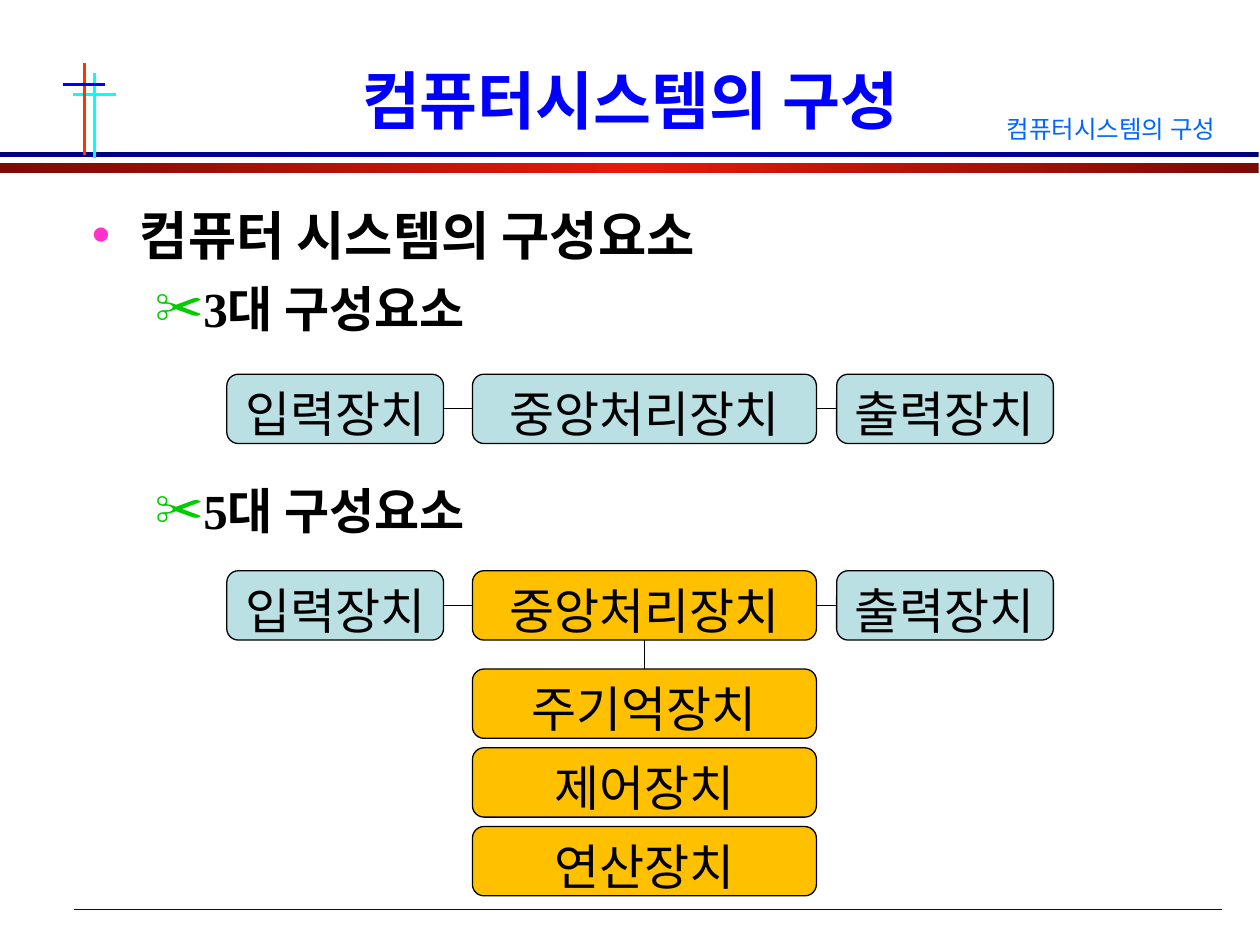
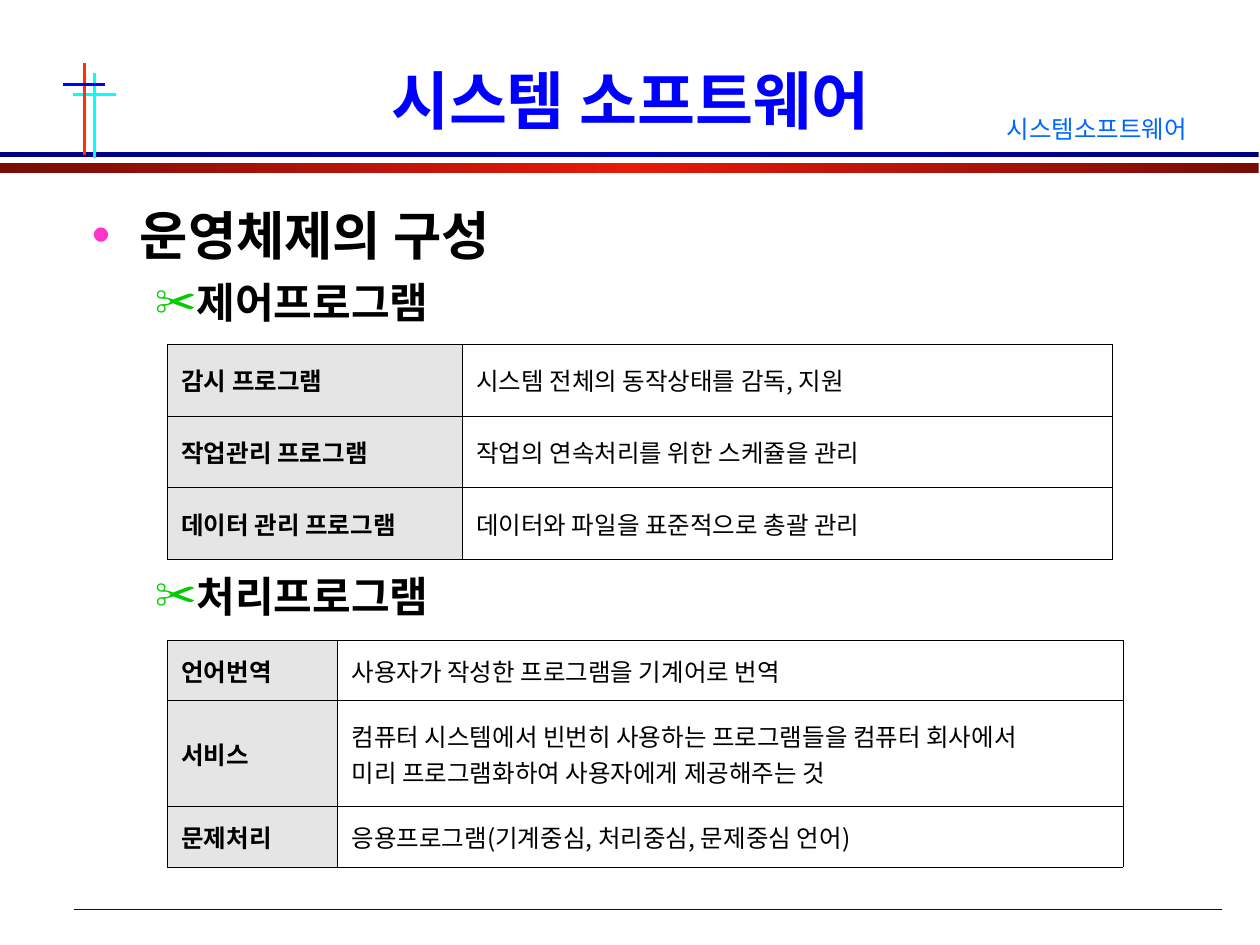
from copy import deepcopy

from lxml.etree import SubElement
from pptx import Presentation
from pptx.dml.color import RGBColor as Rgb
from pptx.enum.shapes import MSO_CONNECTOR as Conn, MSO_SHAPE as Shape
from pptx.enum.text import MSO_ANCHOR as Anchor, MSO_AUTO_SIZE as Fit, PP_ALIGN as Align
from pptx.oxml.ns import qn
from pptx.util import Inches, Pt

HUES = {
    "black": "000000", "title": "0000FF", "tag": "0066FF",
    "dot": "FF33CC", "scissors": "00CC00", "rule": "000080",
    "cyan": "00FFFF", "red": "FF3300", "box": "BBE0E3",
    "core": "FFC000", "label": "E5E5E5",
}
ROMAN, SANS = "Times New Roman", "Noto Sans CJK KR"

FORMS = {
    "title": {"size": Pt(36), "name": ROMAN, "bold": True},
    "tag": {"size": Pt(14), "name": SANS, "bold": False},
    "head": {"size": Pt(30), "name": ROMAN, "bold": True},
    "large": {"size": Pt(28), "name": ROMAN, "bold": True},
    "small": {"size": Pt(24), "name": SANS, "bold": True},
    "box": {"size": Pt(28), "name": SANS, "bold": False},
    "label": {"size": Pt(14), "name": SANS, "bold": True},
    "cell": {"size": Pt(14), "name": SANS, "bold": False},
}

# Left, top, width, height, edge colour, middle colour
BANDS = [
    (0, 1.21, 9.99, 0.04, "00007F", "0000B6"),
    (0, 1.29, 9.99, 0.08, "770D05", "E71909"),
]
# Start, end, colour, width
RULES = [
    (0.59, 7.22, 9.7, 7.22, "rule", 0.75),
    (0.58, 0.75, 0.92, 0.75, "cyan", 2),
    (0.75, 0.58, 0.75, 1.25, "cyan", 1.75),
    (0.67, 0.5, 0.67, 1.23, "red", 1.75),
    (0.5, 0.67, 0.83, 0.67, "title", 2),
]
# Title, tag, body size, list of (text, form, level, space before)
PAGES = [
    ("컴퓨터시스템의 구성", "컴퓨터시스템의 구성", (8.75, 5.23), [
        ("컴퓨터 시스템의 구성요소", "head", 0, 7.5),
        ("3대 구성요소", "large", 1, 7),
        ("5대 구성요소", "large", 1, 82),
    ]),
    ("시스템 소프트웨어", "시스템소프트웨어", (9.06, 5.47), [
        ("운영체제의 구성", "head", 0, 7.5),
        ("제어프로그램", "small", 1, 6),
        ("처리프로그램", "small", 1, 139),
    ]),
]
# Bullet, colour, left margin, hanging indent by level
MARKS = [("•", "dot", 0.38, 0.38), ("✂", "scissors", 0.81, 0.31)]


def write(par, text, form, hue="black"):
    run = par.add_run()
    run.text = text
    for key, val in FORMS[form].items():
        setattr(run.font, key, val)
    run.font.color.rgb = Rgb.from_string(HUES[hue])
    SubElement(run.font._element, qn("a:ea"), typeface=SANS)


def link(slide, x1, y1, x2, y2, hue="black", width=0.75):
    ends = [Inches(n) for n in (x1, y1, x2, y2)]
    line = slide.shapes.add_connector(Conn.STRAIGHT, *ends)
    line.line.color.rgb = Rgb.from_string(HUES[hue])
    line.line.width = Pt(width)
    SubElement(line._element.spPr, qn("a:effectLst"))


deck = Presentation()
deck.slide_width, deck.slide_height = Inches(10), Inches(7.5)

# Bands, rules, titles and lists of both slides
for head, tag, (wide, high), items in PAGES:
    slide = deck.slides.add_slide(deck.slide_layouts[1])
    for *place, edge, mid in BANDS:
        band = slide.shapes.add_shape(Shape.RECTANGLE, *[Inches(n) for n in place])
        band.shadow.inherit = False
        band.line.fill.background()
        band.fill.gradient()
        band.fill.gradient_angle = 0
        stops = band._element.xpath(".//a:gsLst")[0]
        stops.append(deepcopy(stops[0]))
        for stop, spot, hue in zip(band.fill.gradient_stops, (0, 0.5, 1), (edge, mid, edge)):
            stop.position = spot
            stop.color.rgb = Rgb.from_string(hue)
    for rule in RULES:
        link(slide, *rule)

    title, body = slide.shapes.title, slide.placeholders[1]
    note = slide.shapes.add_textbox(0, 0, 0, 0)
    for shape, place, fit, anchor in [
        (title, (1.54, 0.5, 6.92, 0.58), Fit.NONE, Anchor.MIDDLE),
        (note, (7.89, 0.86, 2.03, 0.34), Fit.SHAPE_TO_FIT_TEXT, Anchor.TOP),
        (body, (0.63, 1.56, wide, high), Fit.NONE, Anchor.TOP),
    ]:
        shape.left, shape.top, shape.width, shape.height = [Inches(n) for n in place]
        frame = shape.text_frame
        frame.word_wrap = True
        frame.auto_size = fit
        frame.vertical_anchor = anchor
    par = title.text_frame.paragraphs[0]
    par.alignment = Align.CENTER
    write(par, head, "title", "title")
    write(note.text_frame.paragraphs[0], tag, "tag", "tag")

    for i, (text, form, level, gap) in enumerate(items):
        frame = body.text_frame
        par = frame.add_paragraph() if i else frame.paragraphs[0]
        par.level = level
        par.space_before = Pt(gap)
        write(par, text, form)
        mark, hue, left, hang = MARKS[level]
        props = par._p.get_or_add_pPr()
        props.set("marL", str(Inches(left)))
        props.set("indent", str(-Inches(hang)))
        SubElement(SubElement(props, qn("a:buClr")), qn("a:srgbClr"), val=HUES[hue])
        SubElement(props, qn("a:buChar"), char=mark)

# Slide 1: device diagrams
first, second = deck.slides
COLS = [(1.8, 1.72), (3.75, 2.73), (6.64, 1.72)]
TALL = 0.55
devices = []
for top, core in [(2.97, "box"), (4.53, "core")]:
    names = zip(("입력장치", "중앙처리장치", "출력장치"), COLS, ("box", core, "box"))
    devices += [(name, left, top, width, hue) for name, (left, width), hue in names]
    for (left, width), (right, _) in zip(COLS, COLS[1:]):
        link(first, left + width, top + TALL / 2, right, top + TALL / 2)
mid, span = COLS[1]
for i, name in enumerate(("주기억장치", "제어장치", "연산장치")):
    devices.append((name, mid, 5.31 + i * 0.625, span, "core"))
link(first, mid + span / 2, 4.53 + TALL, mid + span / 2, 5.31)

for name, left, top, width, hue in devices:
    place = [Inches(n) for n in (left, top, width, TALL)]
    box = first.shapes.add_shape(Shape.ROUNDED_RECTANGLE, *place)
    box.shadow.inherit = False
    box.fill.solid()
    box.fill.fore_color.rgb = Rgb.from_string(HUES[hue])
    box.line.color.rgb = Rgb.from_string(HUES["black"])
    box.line.width = Pt(0.75)
    frame = box.text_frame
    frame.word_wrap = False
    frame.vertical_anchor = Anchor.TOP
    frame.paragraphs[0].alignment = Align.CENTER
    write(frame.paragraphs[0], name, "box")

# Slide 2: program tables
TABLES = [
    (2.73, (2.34, 5.16), (0.57, 0.57, 0.57), [
        ("감시 프로그램", "시스템 전체의 동작상태를 감독, 지원"),
        ("작업관리 프로그램", "작업의 연속처리를 위한 스케쥴을 관리"),
        ("데이터 관리 프로그램", "데이터와 파일을 표준적으로 총괄 관리"),
    ]),
    (5.08, (1.35, 6.23), (0.48, 0.84, 0.48), [
        ("언어번역", "사용자가 작성한 프로그램을 기계어로 번역"),
        ("서비스", "컴퓨터 시스템에서 빈번히 사용하는 프로그램들을 컴퓨터 회사에서\n"
                 "미리 프로그램화하여 사용자에게 제공해주는 것"),
        ("문제처리", "응용프로그램(기계중심, 처리중심, 문제중심 언어)"),
    ]),
]
THIN, THICK = Pt(0.11), Pt(0.96)
PAD = {
    "margin_left": Inches(0.11), "margin_right": Inches(0.02),
    "margin_top": Inches(0.05), "margin_bottom": Inches(0.05),
    "vertical_anchor": Anchor.MIDDLE,
}
for top, cols, rows, data in TABLES:
    place = [Inches(n) for n in (1.33, top, sum(cols), sum(rows))]
    grid = second.shapes.add_table(len(rows), len(cols), *place).table
    grid.first_row = grid.horz_banding = False
    for col, width in zip(grid.columns, cols):
        col.width = Inches(width)
    for row, height, texts in zip(grid.rows, rows, data):
        row.height = Inches(height)
        for i, (cell, text) in enumerate(zip(row.cells, texts)):
            for key, val in PAD.items():
                setattr(cell, key, val)
            edges = {"L": THICK if i else THIN, "R": THIN if i else THICK, "T": THIN, "B": THIN}
            props = cell._tc.get_or_add_tcPr()
            for side, width in edges.items():
                edge = SubElement(props, qn("a:ln" + side), w=str(width))
                fill = SubElement(edge, qn("a:solidFill"))
                SubElement(fill, qn("a:srgbClr"), val=HUES["black"])
            if i:
                cell.fill.background()
            else:
                cell.fill.solid()
                cell.fill.fore_color.rgb = Rgb.from_string(HUES["label"])
            frame = cell.text_frame
            for n, line in enumerate(text.split("\n")):
                par = frame.add_paragraph() if n else frame.paragraphs[0]
                par.alignment = Align.JUSTIFY
                write(par, line, "cell" if i else "label")

deck.save("out.pptx")
